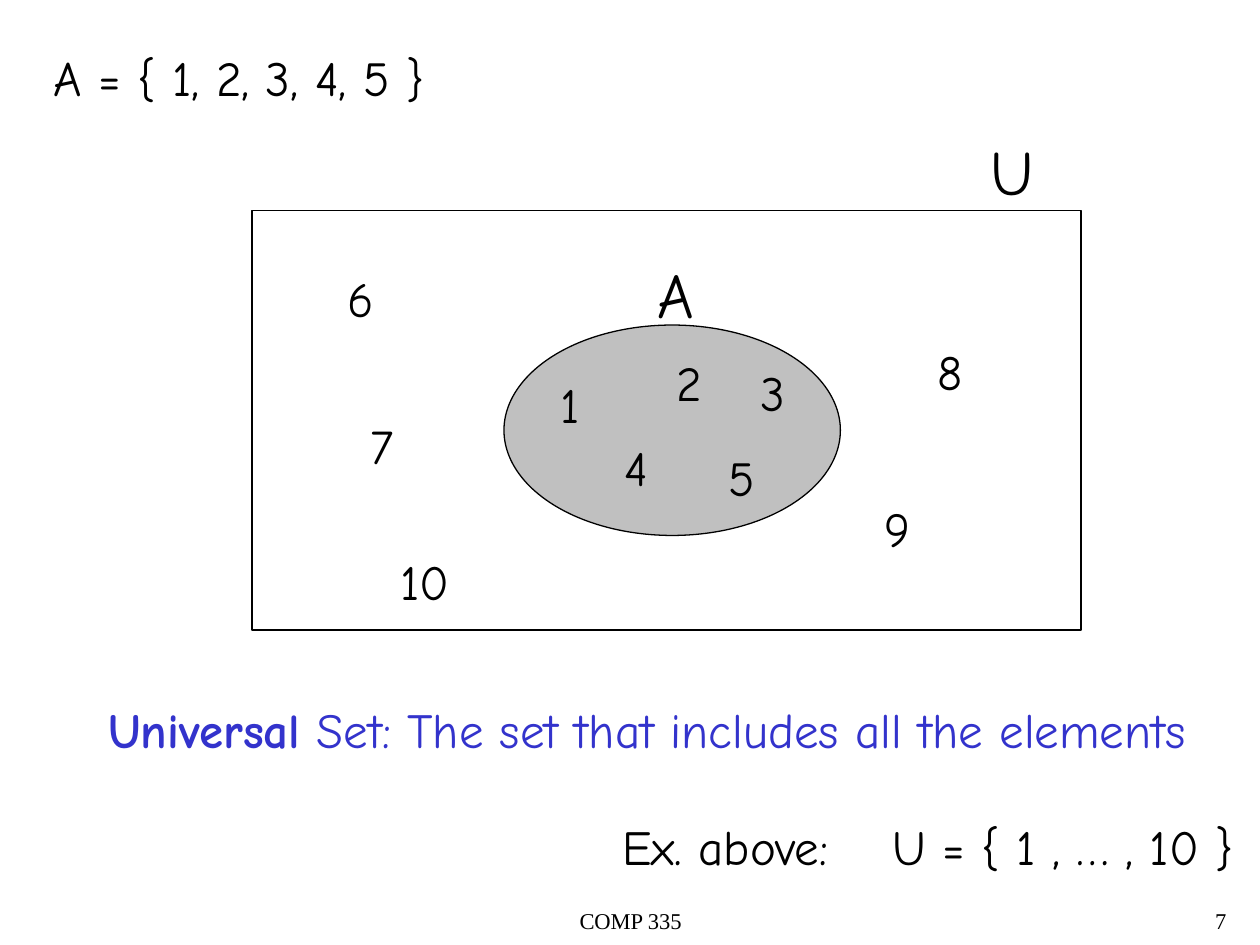
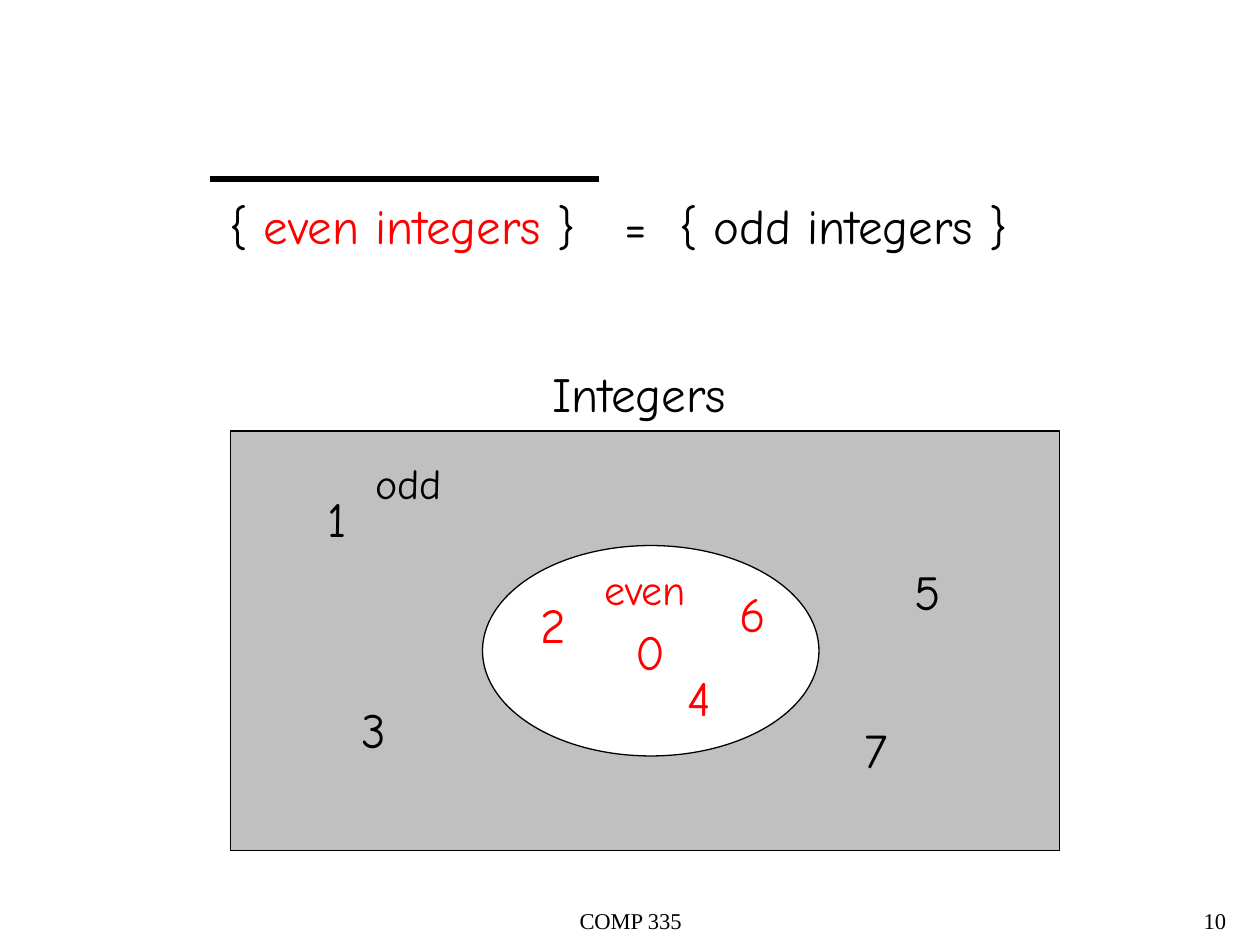
from dataclasses import dataclass

import pptx
import pptx.dml.color
import pptx.enum.shapes
import pptx.enum.text
import pptx.oxml.ns
import pptx.presentation
import pptx.shapes.autoshape
import pptx.slide
import pptx.text.text
import pptx.util

RGBColor = pptx.dml.color.RGBColor
Align = pptx.enum.text.PP_ALIGN
Anchor = pptx.enum.text.MSO_ANCHOR
Preset = pptx.enum.shapes.MSO_SHAPE

BLACK = RGBColor(0x00, 0x00, 0x00)
WHITE = RGBColor(0xFF, 0xFF, 0xFF)
GREY = RGBColor(0xC0, 0xC0, 0xC0)
RED = RGBColor(0xFF, 0x00, 0x00)
BLUE = RGBColor(0x33, 0x33, 0xCC)

BODY_FONT = "Comic Neue"
FOOTER_FONT = "Times New Roman"
EMU_PER_PX = 9144
SPACE_PT = 9.15
BODY_LINE_PT = 33.6
ELEMENT_HEIGHT = 57
ELEMENT_WIDTHS = {
    "1": 35, "2": 40, "3": 39, "4": 39, "5": 41,
    "6": 41, "7": 38, "8": 40, "9": 40, "10": 59,
}


@dataclass(frozen=True)
class Box:
    left: int
    top: int
    width: int
    height: int


@dataclass(frozen=True)
class Run:
    text: str
    color: RGBColor = BLACK
    size: float = 28
    font: str = BODY_FONT
    bold: bool = False
    tracking: float = 0


@dataclass(frozen=True)
class Paragraph:
    runs: tuple[Run, ...]
    align: Align = Align.LEFT
    indent: int = 0
    space_before: float = 0
    line_spacing: float = 1.0


@dataclass(frozen=True)
class Element:
    label: str
    left: int
    top: int
    color: RGBColor = BLACK


UNIVERSE_SIZE = (658, 333)
SUBSET_SIZE = (267, 167)

FIRST_ELEMENTS = (
    Element("1", 435, 292),
    Element("2", 527, 275),
    Element("3", 594, 283),
    Element("4", 486, 342),
    Element("5", 568, 350),
    Element("6", 266, 208),
    Element("7", 284, 325),
    Element("8", 734, 266),
    Element("9", 692, 391),
    Element("10", 308, 433),
)
INTEGER_ELEMENTS = (
    Element("2", 419, 467, RED),
    Element("4", 536, 525, RED),
    Element("6", 577, 458, RED),
    Element("1", 250, 383),
    Element("3", 277, 550),
    Element("5", 716, 441),
    Element("7", 676, 566),
)


def px(length: int) -> pptx.util.Emu:
    return pptx.util.Emu(length * EMU_PER_PX)


def gap(spaces: int) -> Run:
    return Run(" ", tracking=(spaces - 1) * SPACE_PT)


def write(frame: pptx.text.text.TextFrame, paragraphs: tuple[Paragraph, ...]) -> None:
    for index, content in enumerate(paragraphs):
        paragraph = frame.paragraphs[0] if index == 0 else frame.add_paragraph()
        paragraph.alignment = content.align
        paragraph.line_spacing = content.line_spacing
        paragraph.space_before = pptx.util.Pt(content.space_before)
        if content.indent:
            properties = paragraph._p.get_or_add_pPr()
            properties.set("marL", str(px(content.indent)))
            properties.set("indent", "0")
        for part in content.runs:
            run = paragraph.add_run()
            run.text = part.text
            run.font.name = part.font
            run.font.size = pptx.util.Pt(part.size)
            run.font.bold = part.bold
            run.font.color.rgb = part.color
            if part.tracking:
                run._r.get_or_add_rPr().set("spc", str(round(part.tracking * 100)))


def add_text(
    slide: pptx.slide.Slide,
    box: Box,
    *paragraphs: Paragraph,
    wrap: bool = False,
    anchor: Anchor = Anchor.TOP,
) -> None:
    frame = slide.shapes.add_textbox(
        px(box.left), px(box.top), px(box.width), px(box.height)
    ).text_frame
    frame.word_wrap = wrap
    frame.vertical_anchor = anchor
    if not wrap:
        frame.auto_size = pptx.enum.text.MSO_AUTO_SIZE.SHAPE_TO_FIT_TEXT
    write(frame, paragraphs)


def add_set(
    slide: pptx.slide.Slide,
    preset: Preset,
    left: int,
    top: int,
    size: tuple[int, int],
    fill: RGBColor | None = None,
) -> pptx.shapes.autoshape.Shape:
    region = slide.shapes.add_shape(preset, px(left), px(top), px(size[0]), px(size[1]))
    region.shadow.inherit = False
    if fill is None:
        region.fill.background()
    else:
        region.fill.solid()
        region.fill.fore_color.rgb = fill
    region.line.color.rgb = BLACK
    region.line.width = pptx.util.Pt(0.75)
    return region


def add_elements(slide: pptx.slide.Slide, elements: tuple[Element, ...]) -> None:
    for element in elements:
        box = Box(element.left, element.top, ELEMENT_WIDTHS[element.label], ELEMENT_HEIGHT)
        add_text(slide, box, Paragraph((Run(element.label, element.color),)))


def add_caption(slide: pptx.slide.Slide, box: Box, run: Run) -> None:
    add_text(slide, box, Paragraph((run,), Align.CENTER), anchor=Anchor.MIDDLE)


def add_overline(slide: pptx.slide.Slide, left: int, right: int, top: int) -> None:
    overline = slide.shapes.add_connector(
        pptx.enum.shapes.MSO_CONNECTOR.STRAIGHT, px(left), px(top), px(right), px(top)
    )
    overline.line.color.rgb = BLACK
    overline.line.width = pptx.util.Pt(3)
    overline._element.spPr.append(pptx.oxml.xmlchemy.OxmlElement("a:effectLst"))


def add_slide(deck: pptx.presentation.Presentation, number: int) -> pptx.slide.Slide:
    slide = deck.slides.add_slide(deck.slide_layouts[6])
    slide.background.fill.solid()
    slide.background.fill.fore_color.rgb = WHITE
    for text, box, align in (
        ("COMP 335", Box(342, 717, 317, 33), Align.CENTER),
        (str(number), Box(775, 717, 208, 33), Align.RIGHT),
    ):
        run = Run(text, size=12.9, font=FOOTER_FONT)
        add_text(slide, box, Paragraph((run,), align, line_spacing=0.9), wrap=True)
    return slide


def build_universal_set(deck: pptx.presentation.Presentation) -> None:
    slide = add_slide(deck, 7)
    add_text(
        slide, Box(33, 33, 900, 57), Paragraph((Run("A = { 1, 2, 3, 4, 5 }"),)), wrap=True
    )
    definition = Paragraph((
        Run("Universal", BLUE, bold=True),
        Run(" Set: The set that includes all the elements", BLUE),
    ))
    example = Paragraph(
        (Run("Ex. above:"), gap(4), Run("U = { 1 , … , 10 }")),
        indent=408,
        space_before=BODY_LINE_PT,
    )
    add_text(slide, Box(76, 550, 918, 150), definition, example)
    add_set(slide, Preset.OVAL, 400, 258, SUBSET_SIZE, GREY)
    add_set(slide, Preset.RECTANGLE, 200, 167, UNIVERSE_SIZE)
    add_text(slide, Box(512, 198, 49, 70), Paragraph((Run("A", size=36),)))
    add_text(slide, Box(776, 100, 54, 70), Paragraph((Run("U", size=36),)))
    add_elements(slide, FIRST_ELEMENTS)


def build_complement(deck: pptx.presentation.Presentation) -> None:
    slide = add_slide(deck, 10)
    add_set(slide, Preset.RECTANGLE, 183, 342, UNIVERSE_SIZE, GREY)
    evens = add_set(slide, Preset.OVAL, 383, 433, SUBSET_SIZE, WHITE)
    evens.text_frame.word_wrap = False
    evens.text_frame.vertical_anchor = Anchor.MIDDLE
    write(evens.text_frame, (Paragraph((Run("0", RED),), Align.CENTER),))
    add_elements(slide, INTEGER_ELEMENTS)
    add_caption(slide, Box(469, 442, 86, 50), Run("even", RED, 24))
    equation = Paragraph(
        (
            Run("{ "),
            Run("even integers", RED),
            Run(" }"),
            gap(3),
            Run("="),
            gap(2),
            Run("{ odd integers }"),
        ),
        indent=64,
    )
    add_text(slide, Box(108, 150, 783, 57), equation, wrap=True, anchor=Anchor.MIDDLE)
    add_overline(slide, 167, 475, 142)
    add_caption(slide, Box(288, 358, 73, 50), Run("odd", size=24))
    add_caption(slide, Box(428, 283, 159, 57), Run("Integers"))


def main() -> None:
    deck = pptx.Presentation()
    deck.slide_width = px(1000)
    deck.slide_height = px(750)
    build_universal_set(deck)
    build_complement(deck)
    deck.save("out.pptx")


if __name__ == "__main__":
    main()
